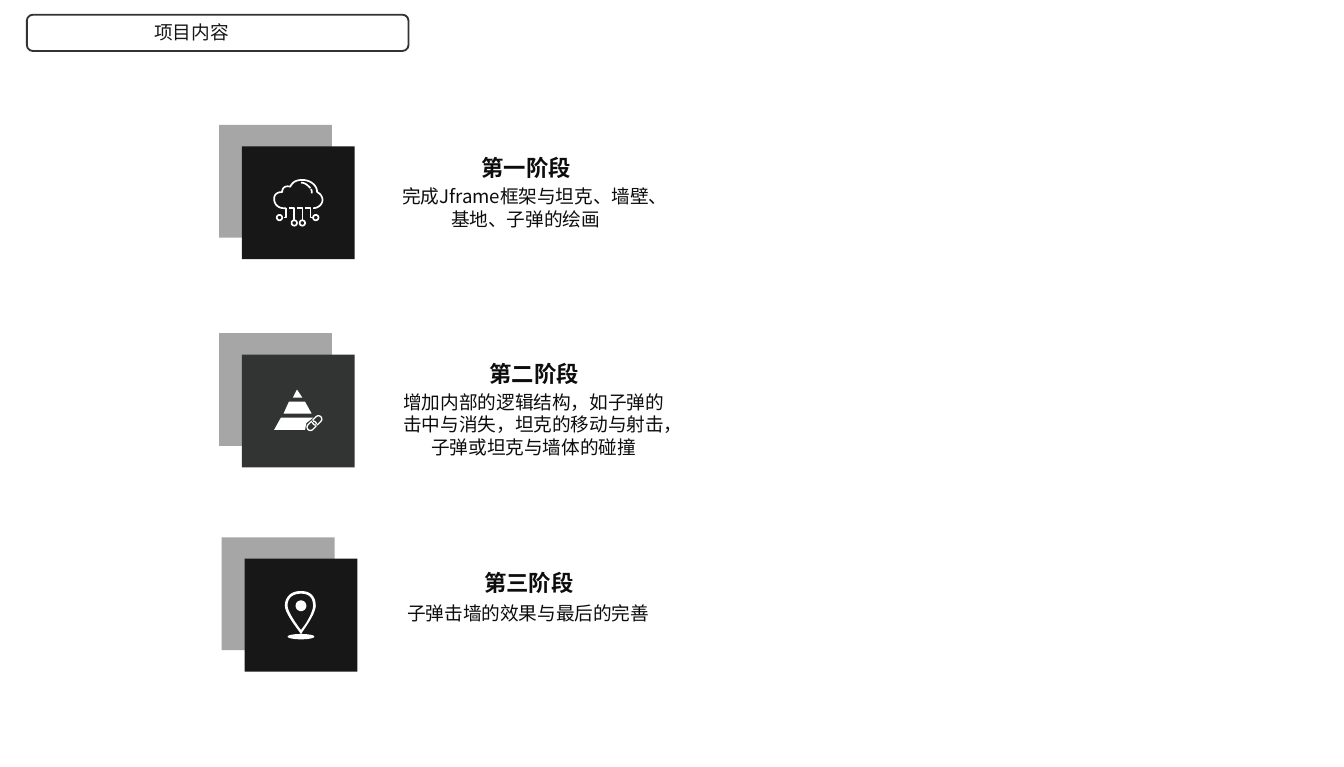
from dataclasses import dataclass
from math import cos, pi, sin
from typing import Callable

from lxml import etree
from pptx import Presentation
from pptx.dml.color import RGBColor
from pptx.enum.shapes import MSO_SHAPE
from pptx.enum.text import MSO_AUTO_SIZE, PP_ALIGN
from pptx.oxml.ns import qn
from pptx.util import Inches, Pt

RECT, ROUND = MSO_SHAPE.RECTANGLE, MSO_SHAPE.ROUNDED_RECTANGLE
CENTER, LEFT = PP_ALIGN.CENTER, PP_ALIGN.LEFT
GROW = MSO_AUTO_SIZE.SHAPE_TO_FIT_TEXT

Point = tuple[float, float]
Path = list[Point]
Box = tuple[float, float, float, float]


@dataclass(frozen=True)
class Theme:
    font: str = "Noto Sans CJK SC"
    black: str = "181717"
    slate: str = "323333"
    gray: str = "A6A6A6"
    white: str = "FFFFFF"
    ink: str = "0D0D0D"
    head: int = 12
    body: int = 10


@dataclass(frozen=True)
class Stage:
    title: str
    body: str
    tile: Point
    color: str
    head_at: Point
    body_at: Box
    icon: Callable


THEME = Theme()
TILE = 0.84


def paint(shape, fill: str = "", line: str = "", width: float = 0) -> None:
    shape.shadow.inherit = False
    if fill:
        shape.fill.solid()
        shape.fill.fore_color.rgb = RGBColor.from_string(fill)
    else:
        shape.fill.background()
    if line:
        shape.line.color.rgb = RGBColor.from_string(line)
        shape.line.width = Pt(width)
    else:
        shape.line.fill.background()


def block(shapes, kind, box: Box, fill: str = "", line: str = "", width: float = 0) -> None:
    paint(shapes.add_shape(kind, *map(Inches, box)), fill, line, width)


def trace(shapes, paths: list[Path], width: float = 0) -> None:
    """Draw all paths as one shape: white strokes, or a white solid without a width."""
    pen = None
    for path in paths:
        dots = [(Inches(x), Inches(y)) for x, y in path]
        if pen is None:
            pen = shapes.build_freeform(*dots[0], scale=1.0)
        else:
            pen.move_to(*dots[0])
        pen.add_line_segments(dots[1:], close=not width)
    paint(pen.convert_to_shape(), "" if width else THEME.white,
          THEME.white if width else "", width)


def curve(start: Point, *arcs: tuple[Point, Point, Point], steps: int = 10) -> Path:
    """Sample a chain of cubic Bezier arcs."""
    points = [start]
    for arc in arcs:
        knots = (points[-1], *arc)
        for step in range(1, steps + 1):
            t = step / steps
            parts = ((1 - t) ** 3, 3 * t * (1 - t) ** 2, 3 * t * t * (1 - t), t ** 3)
            points.append(tuple(sum(p * k[axis] for p, k in zip(parts, knots))
                                for axis in (0, 1)))
    return points


def oval(mid: Point, rx: float, ry: float, steps: int = 24) -> Path:
    turns = (2 * pi * step / steps for step in range(steps + 1))
    return [(mid[0] + rx * cos(a), mid[1] + ry * sin(a)) for a in turns]


def link(mid: Point, size: float, reach: float = 0.01, steps: int = 8) -> Path:
    """Outline a chain link that leans up to the right."""
    points = []
    for side, base in ((1, -3 * pi / 4), (-1, pi / 4)):
        x, y = mid[0] + side * reach, mid[1] - side * reach
        turns = (base + pi * step / steps for step in range(steps + 1))
        points += [(x + size * cos(a), y + size * sin(a)) for a in turns]
    return points


def cloud(shapes) -> None:
    rim = [(2.13, 1.55)] + curve(
        (2.11, 1.55),
        ((2.07, 1.55), (2.04, 1.52), (2.04, 1.48)),
        ((2.04, 1.45), (2.06, 1.43), (2.1, 1.43)),
        ((2.1, 1.4), (2.12, 1.38), (2.16, 1.39)),
        ((2.18, 1.35), (2.21, 1.34), (2.25, 1.34)),
        ((2.31, 1.34), (2.36, 1.38), (2.36, 1.43)),
        ((2.38, 1.44), (2.4, 1.46), (2.4, 1.49)),
        ((2.4, 1.52), (2.37, 1.55), (2.33, 1.55)))
    shine = [curve((2.24, 1.36), ((2.27, 1.36), (2.29, 1.38), (2.31, 1.4))),
             curve((2.31, 1.41), ((2.32, 1.41), (2.32, 1.42), (2.32, 1.44)))]
    wires = [[(2.11, 1.62), (2.13, 1.62), (2.13, 1.55)],
             [(2.15, 1.55), (2.19, 1.55), (2.19, 1.64)],
             [(2.21, 1.55), (2.25, 1.55), (2.25, 1.64)],
             [(2.27, 1.55), (2.31, 1.55), (2.31, 1.62), (2.33, 1.62)]]
    nodes = [oval(mid, 0.02, 0.02)
             for mid in ((2.08, 1.62), (2.19, 1.66), (2.25, 1.66), (2.35, 1.62))]
    trace(shapes, [rim, *shine, *wires, *nodes], 0.9)


def pyramid(shapes) -> None:
    tiers = [[(2.21, 2.9), (2.25, 2.96), (2.18, 2.96)],
             [(2.15, 2.99), (2.27, 2.99), (2.32, 3.08), (2.11, 3.08)],
             [(2.09, 3.11), (2.33, 3.11), (2.28, 3.15), (2.27, 3.2), (2.04, 3.2)]]
    chain = [link(mid, size) for mid in ((2.32, 3.17), (2.36, 3.13))
             for size in (0.03, 0.02)]
    trace(shapes, tiers + chain)


def pin(shapes) -> None:
    rim = curve(
        (2.24, 4.4),
        ((2.31, 4.4), (2.35, 4.44), (2.35, 4.51)),
        ((2.35, 4.57), (2.26, 4.69), (2.24, 4.72)),
        ((2.22, 4.69), (2.12, 4.57), (2.12, 4.51)),
        ((2.12, 4.44), (2.17, 4.4), (2.24, 4.4)))
    hole = curve(
        (2.24, 4.42),
        ((2.3, 4.42), (2.33, 4.45), (2.33, 4.51)),
        ((2.33, 4.55), (2.29, 4.63), (2.24, 4.69)),
        ((2.2, 4.64), (2.14, 4.55), (2.14, 4.51)),
        ((2.14, 4.45), (2.18, 4.42), (2.24, 4.42)))
    trace(shapes, [rim, hole, oval((2.24, 4.51), 0.04, 0.04),
                   oval((2.24, 4.74), 0.1, 0.02)])


def write(shapes, text: str, box: Box, size: int, color: str, *, bold: bool = False,
          wrap: bool = True, align=CENTER, inset: bool = True, space: float = 1.0) -> None:
    frame = shapes.add_textbox(*map(Inches, box)).text_frame
    frame.word_wrap = wrap
    frame.auto_size = GROW
    if not inset:
        frame.margin_left = frame.margin_right = 0
        frame.margin_top = frame.margin_bottom = 0
    para = frame.paragraphs[0]
    para.alignment = align
    para.line_spacing = space
    run = para.add_run()
    run.text = text
    font = run.font
    font.size, font.bold, font.name = Pt(size), bold, THEME.font
    font.color.rgb = RGBColor.from_string(color)
    etree.SubElement(run._r.get_or_add_rPr(), qn("a:ea"), typeface=THEME.font)


def draw(shapes, stage: Stage) -> None:
    x, y = stage.tile
    group = shapes.add_group_shape().shapes
    block(group, RECT, (x, y, TILE, TILE), THEME.gray)
    block(group, RECT, (x + 0.17, y + 0.16, TILE, TILE), stage.color)
    stage.icon(group)
    write(shapes, stage.body, stage.body_at, THEME.body, THEME.ink)
    write(shapes, stage.title, (*stage.head_at, 1.37, 0.23), THEME.head, THEME.ink,
          bold=True, inset=False, space=1.2)


STAGES = (
    Stage("第一阶段", "完成Jframe框架与坦克、墙壁、基地、子弹的绘画",
          (1.63, 0.93), THEME.black, (3.23, 1.11), (2.84, 1.33, 2.14, 0.44), cloud),
    Stage("第二阶段", "增加内部的逻辑结构，如子弹的击中与消失，坦克的移动与射击，子弹或坦克与墙体的碰撞",
          (1.63, 2.48), THEME.slate, (3.29, 2.64), (2.9, 2.86, 2.14, 0.61), pyramid),
    Stage("第三阶段", "子弹击墙的效果与最后的完善",
          (1.65, 4), THEME.black, (3.25, 4.2), (2.86, 4.43, 2.14, 0.27), pin),
)


def main() -> None:
    deck = Presentation()
    deck.slide_width, deck.slide_height = Inches(10), Inches(5.71)
    shapes = deck.slides.add_slide(deck.slide_layouts[6]).shapes
    block(shapes, ROUND, (0.2, 0.11, 2.84, 0.27), line=THEME.slate, width=1)
    write(shapes, "项目内容", (1.05, 0.11, 0.76, 0.27), THEME.body, THEME.black,
          wrap=False, align=LEFT)
    for stage in STAGES:
        draw(shapes, stage)
    deck.save("out.pptx")


if __name__ == "__main__":
    main()
